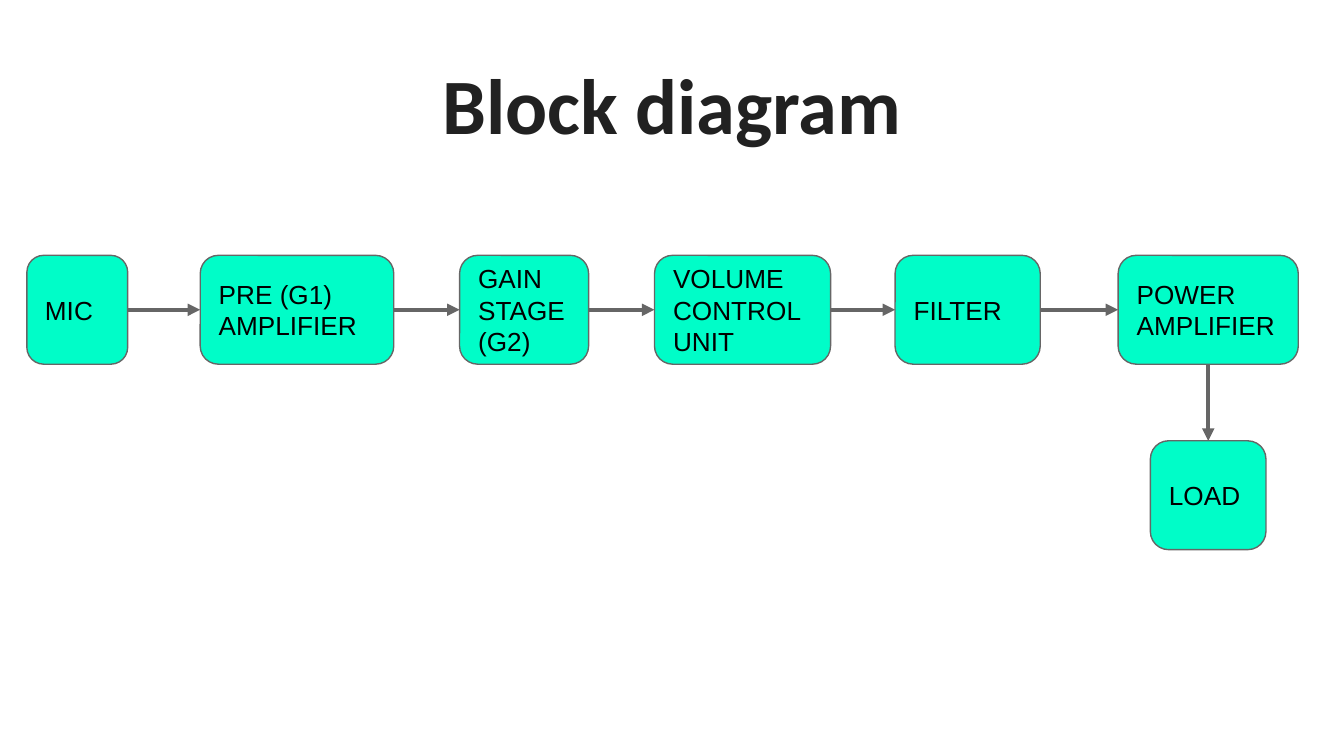
from dataclasses import dataclass
from itertools import pairwise

from lxml import etree
from pptx import Presentation
from pptx.dml.color import RGBColor
from pptx.enum.shapes import MSO_CONNECTOR, MSO_SHAPE
from pptx.enum.text import MSO_ANCHOR, MSO_AUTO_SIZE, PP_ALIGN
from pptx.oxml.ns import qn
from pptx.slide import Slide
from pptx.util import Inches, Pt

ROUNDED = MSO_SHAPE.ROUNDED_RECTANGLE
STRAIGHT = MSO_CONNECTOR.STRAIGHT
LEFT, CENTER = PP_ALIGN.LEFT, PP_ALIGN.CENTER
TOP, MIDDLE = MSO_ANCHOR.TOP, MSO_ANCHOR.MIDDLE
NO_FIT = MSO_AUTO_SIZE.NONE
TOP_SITE, LEFT_SITE, BOTTOM_SITE, RIGHT_SITE = range(4)
TITLE_ONLY = 5

COLORS = {"title": "212121", "block": "00FDC8", "line": "666666", "text": "000000"}
PAGE_WIDTH = 10
PAGE_HEIGHT = PAGE_WIDTH * 9 / 16
BLOCK_HEIGHT = 0.81
CHAIN_TOP, LOAD_TOP = 1.9, 3.28
CHAIN = [
    ("MIC", 0.2, 0.75),
    ("PRE (G1) AMPLIFIER", 1.49, 1.44),
    ("GAIN STAGE (G2)", 3.42, 0.96),
    ("VOLUME CONTROL UNIT", 4.87, 1.31),
    ("FILTER", 6.66, 1.08),
    ("POWER AMPLIFIER", 8.32, 1.34),
]


def color(name):
    """Return the named palette colour."""
    return RGBColor.from_string(COLORS[name])


def write(box, text, *, font, size, fill, bold=False, align=LEFT, anchor=MIDDLE):
    """Put formatted text into a box."""
    frame = box.text_frame
    frame.word_wrap = True
    frame.auto_size = NO_FIT
    frame.vertical_anchor = anchor
    frame.margin_left = frame.margin_right = Inches(0.1)
    frame.margin_top = frame.margin_bottom = Inches(0.1)
    para = frame.paragraphs[0]
    para.alignment = align
    span = para.add_run()
    span.text = text
    span.font.name = font
    span.font.size = Pt(size)
    span.font.bold = bold
    span.font.color.rgb = color(fill)


@dataclass
class Diagram:
    """Draws styled diagram elements on one page."""

    page: Slide
    title_font: str = "Calibri"
    block_font: str = "Arial"

    def title(self, text):
        """Place the page title."""
        box = self.page.shapes.title
        box.left, box.top = Inches(0.34), Inches(0.32)
        box.width, box.height = Inches(9.32), Inches(0.88)
        write(box, text, font=self.title_font, size=42, fill="title",
              bold=True, align=CENTER, anchor=TOP)

    def block(self, text, left, top, width):
        """Add a rounded block with a label."""
        box = self.page.shapes.add_shape(
            ROUNDED, Inches(left), Inches(top), Inches(width), Inches(BLOCK_HEIGHT))
        box.shadow.inherit = False
        box.fill.solid()
        box.fill.fore_color.rgb = color("block")
        box.line.color.rgb = color("line")
        box.line.width = Pt(0.75)
        write(box, text, font=self.block_font, size=14, fill="text")
        return box

    def arrow(self, source, source_site, target, target_site):
        """Connect two blocks with an arrow."""
        link = self.page.shapes.add_connector(STRAIGHT, 0, 0, 0, 0)
        link.begin_connect(source, source_site)
        link.end_connect(target, target_site)
        link.line.color.rgb = color("line")
        link.line.width = Pt(2.25)
        etree.SubElement(link.line._get_or_add_ln(), qn("a:tailEnd"), type="triangle")
        etree.SubElement(link._element.spPr, qn("a:effectLst"))


def main():
    """Build and save the block diagram."""
    deck = Presentation()
    deck.slide_width, deck.slide_height = Inches(PAGE_WIDTH), Inches(PAGE_HEIGHT)
    diagram = Diagram(deck.slides.add_slide(deck.slide_layouts[TITLE_ONLY]))
    diagram.title("Block diagram")

    blocks = [diagram.block(text, left, CHAIN_TOP, width) for text, left, width in CHAIN]
    load = diagram.block("LOAD", 8.56, LOAD_TOP, 0.86)
    for source, target in pairwise(blocks):
        diagram.arrow(source, RIGHT_SITE, target, LEFT_SITE)
    diagram.arrow(blocks[-1], BOTTOM_SITE, load, TOP_SITE)

    deck.save("out.pptx")


if __name__ == "__main__":
    main()
